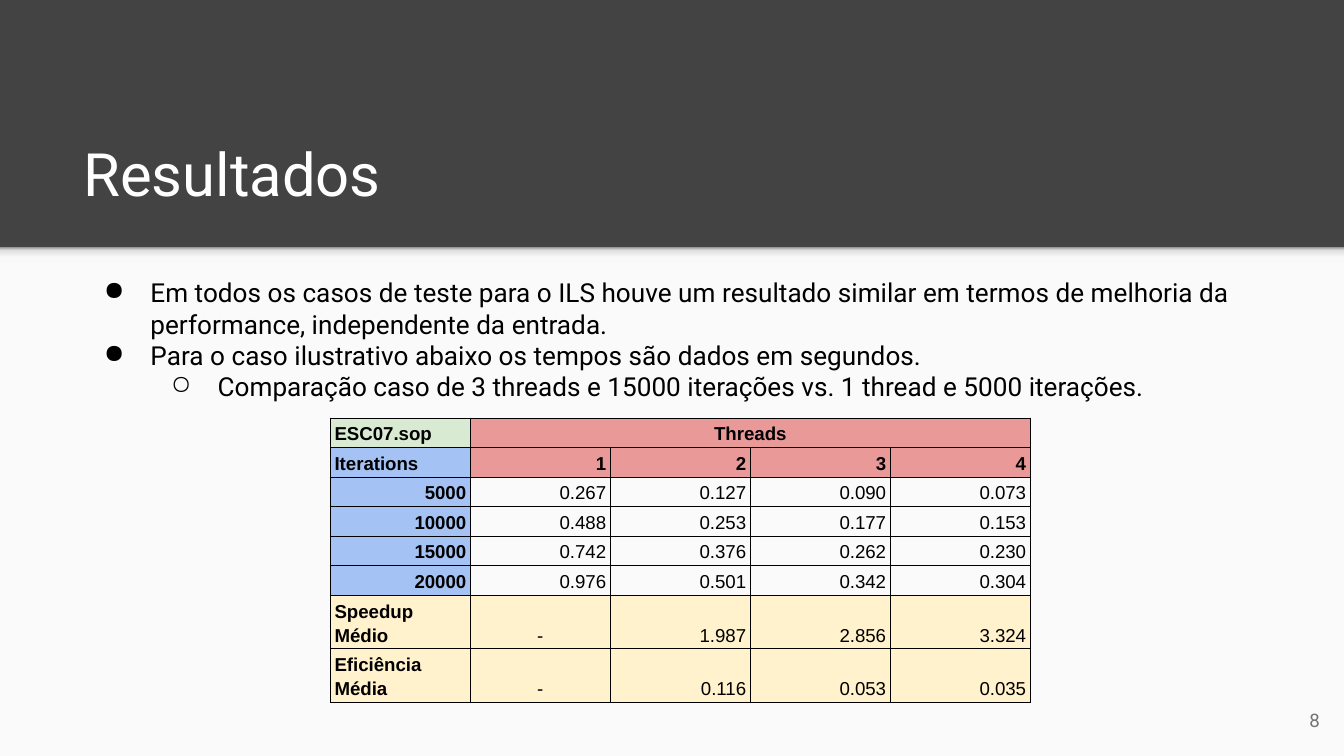
from copy import deepcopy

from lxml import etree
from pptx import Presentation
from pptx.dml.color import RGBColor
from pptx.enum import shapes, text
from pptx.oxml import ns
from pptx.util import Pt

DARK = RGBColor(0x43, 0x43, 0x43)
PAPER = RGBColor(0xFA, 0xFA, 0xFA)
WHITE = RGBColor(0xFF, 0xFF, 0xFF)
BLACK = RGBColor(0, 0, 0)
GRAY = RGBColor(0x73, 0x73, 0x73)
GREEN = RGBColor(0xD9, 0xEA, 0xD3)
RED = RGBColor(0xEA, 0x99, 0x99)
BLUE = RGBColor(0xA4, 0xC2, 0xF4)
YELLOW = RGBColor(0xFF, 0xF2, 0xCC)
SHADE_STOPS = [
    (0, RGBColor(0xF9, 0xF9, 0xF9)),
    (0.36, RGBColor(0xF9, 0xF9, 0xF9)),
    (0.8, RGBColor(0xDE, 0xDE, 0xDE)),
    (1, RGBColor(0x99, 0x99, 0x99)),
]

SLIDE_WIDTH, SLIDE_HEIGHT = 720, 405
HEADER_HEIGHT = 132.5
LEFT, CONTENT_WIDTH = 37.5, 647
COLUMN_WIDTH = 75
ROW_HEIGHT, TALL_ROW_HEIGHT = 15.8, 28.7

LEFT_ALIGN = text.PP_ALIGN.LEFT
CENTER = text.PP_ALIGN.CENTER
RIGHT = text.PP_ALIGN.RIGHT

BULLETS = [
    (0, "Em todos os casos de teste para o ILS houve um resultado similar em termos "
        "de melhoria da performance, independente da entrada."),
    (0, "Para o caso ilustrativo abaixo os tempos são dados em segundos."),
    (1, "Comparação caso de 3 threads e 15000 iterações vs. 1 thread e 5000 iterações."),
]
ROWS = [
    ["ESC07.sop", "Threads", "", "", ""],
    ["Iterations", "1", "2", "3", "4"],
    ["5000", "0.267", "0.127", "0.090", "0.073"],
    ["10000", "0.488", "0.253", "0.177", "0.153"],
    ["15000", "0.742", "0.376", "0.262", "0.230"],
    ["20000", "0.976", "0.501", "0.342", "0.304"],
    ["Speedup Médio", "-", "1.987", "2.856", "3.324"],
    ["Eficiência Média", "-", "0.116", "0.053", "0.035"],
]


def write(paragraph, content, size=14, font="Roboto", color=BLACK, bold=False,
          align=LEFT_ALIGN, spacing=1.0):
    paragraph.alignment = align
    paragraph.line_spacing = spacing
    run = paragraph.add_run()
    run.text = content
    run.font.size = Pt(size)
    run.font.name = font
    run.font.bold = bold
    run.font.color.rgb = color


def set_frame(frame, anchor):
    frame.word_wrap = True
    frame.auto_size = text.MSO_AUTO_SIZE.NONE
    frame.vertical_anchor = anchor
    frame.margin_left = frame.margin_right = Pt(7.2)
    frame.margin_top = frame.margin_bottom = Pt(7.2)


def place(shape, left, top, width, height):
    shape.left, shape.top = Pt(left), Pt(top)
    shape.width, shape.height = Pt(width), Pt(height)


def add_text_box(slide, left, top, width, height, anchor):
    box = slide.shapes.add_textbox(Pt(left), Pt(top), Pt(width), Pt(height))
    set_frame(box.text_frame, anchor)
    return box.text_frame


def add_band(slide, top, height):
    band = slide.shapes.add_shape(shapes.MSO_SHAPE.RECTANGLE, 0, Pt(top),
                                  Pt(SLIDE_WIDTH), Pt(height))
    band.shadow.inherit = False
    band.line.fill.background()
    return band


def fill_shade(fill):
    """Fade from dark at the top edge to the paper colour below."""
    fill.gradient()
    fill.gradient_angle = 90
    stop_list = fill._fill._gradFill.find(ns.qn("a:gsLst"))
    for _ in range(len(SHADE_STOPS) - len(stop_list)):
        stop_list.append(deepcopy(stop_list[0]))
    for stop, (position, color) in zip(fill.gradient_stops, SHADE_STOPS):
        stop.position = position
        stop.color.rgb = color


def add_title(slide, content):
    title = slide.shapes.title
    place(title, LEFT, 58.5, CONTENT_WIDTH, 60.5)
    set_frame(title.text_frame, text.MSO_ANCHOR.BOTTOM)
    write(title.text_frame.paragraphs[0], content, size=32, color=WHITE)


def set_bullet(paragraph, level):
    paragraph.level = level
    properties = paragraph._p.get_or_add_pPr()
    properties.set("marL", str(Pt(36 * (level + 1))))
    properties.set("indent", str(-Pt(25)))
    color = etree.SubElement(properties, ns.qn("a:buClr"))
    etree.SubElement(color, ns.qn("a:srgbClr"), val=str(BLACK))
    etree.SubElement(properties, ns.qn("a:buChar"), char="●○"[level])


def add_bullets(slide):
    frame = add_text_box(slide, LEFT, 141, CONTENT_WIDTH, 70.5, text.MSO_ANCHOR.TOP)
    for index, (level, content) in enumerate(BULLETS):
        paragraph = frame.add_paragraph() if index else frame.paragraphs[0]
        write(paragraph, content)
        set_bullet(paragraph, level)


def add_borders(cell):
    properties = cell._tc.get_or_add_tcPr()
    for side in ("lnL", "lnR", "lnT", "lnB"):
        line = etree.SubElement(properties, ns.qn(f"a:{side}"), w=str(Pt(0.75)))
        fill = etree.SubElement(line, ns.qn("a:solidFill"))
        etree.SubElement(fill, ns.qn("a:srgbClr"), val=str(BLACK))


def cell_color(row, column):
    if row >= 6:
        return YELLOW
    if column == 0:
        return BLUE if row else GREEN
    return RED if row < 2 else None


def cell_align(content):
    if content in ("Threads", "-"):
        return CENTER
    return RIGHT if content[:1].isdigit() else LEFT_ALIGN


def format_cell(cell, content, row, column):
    add_borders(cell)
    color = cell_color(row, column)
    if color is None:
        cell.fill.background()
    else:
        cell.fill.solid()
        cell.fill.fore_color.rgb = color
    cell.vertical_anchor = text.MSO_ANCHOR.BOTTOM
    cell.margin_left = cell.margin_right = Pt(2.25)
    cell.margin_top = cell.margin_bottom = Pt(1.5)
    if content:
        write(cell.text_frame.paragraphs[0], content, size=10, font="Arial",
              bold=row < 2 or column == 0, align=cell_align(content), spacing=1.15)


def add_results_table(slide):
    heights = [ROW_HEIGHT] * 6 + [TALL_ROW_HEIGHT] * 2
    columns = len(ROWS[0])
    table = slide.shapes.add_table(len(ROWS), columns, Pt(177), Pt(224),
                                   Pt(COLUMN_WIDTH * columns), Pt(sum(heights))).table
    table.first_row = table.horz_banding = False
    for column in table.columns:
        column.width = Pt(COLUMN_WIDTH)
    for row, (height, values) in enumerate(zip(heights, ROWS)):
        table.rows[row].height = Pt(height)
        for column, content in enumerate(values):
            format_cell(table.cell(row, column), content, row, column)
    table.cell(0, 1).merge(table.cell(0, 4))


def main():
    presentation = Presentation()
    presentation.slide_width, presentation.slide_height = Pt(SLIDE_WIDTH), Pt(SLIDE_HEIGHT)
    slide = presentation.slides.add_slide(presentation.slide_layouts[5])
    slide.background.fill.solid()
    slide.background.fill.fore_color.rgb = DARK

    paper = add_band(slide, HEADER_HEIGHT, SLIDE_HEIGHT - HEADER_HEIGHT)
    paper.fill.solid()
    paper.fill.fore_color.rgb = PAPER
    fill_shade(add_band(slide, HEADER_HEIGHT, 8.5).fill)

    add_title(slide, "Resultados")
    number = add_text_box(slide, 671, 370, 43.2, 31, text.MSO_ANCHOR.MIDDLE)
    write(number.paragraphs[0], "8", size=10, color=GRAY, align=RIGHT)
    add_results_table(slide)
    add_bullets(slide)
    presentation.save("out.pptx")


if __name__ == "__main__":
    main()
